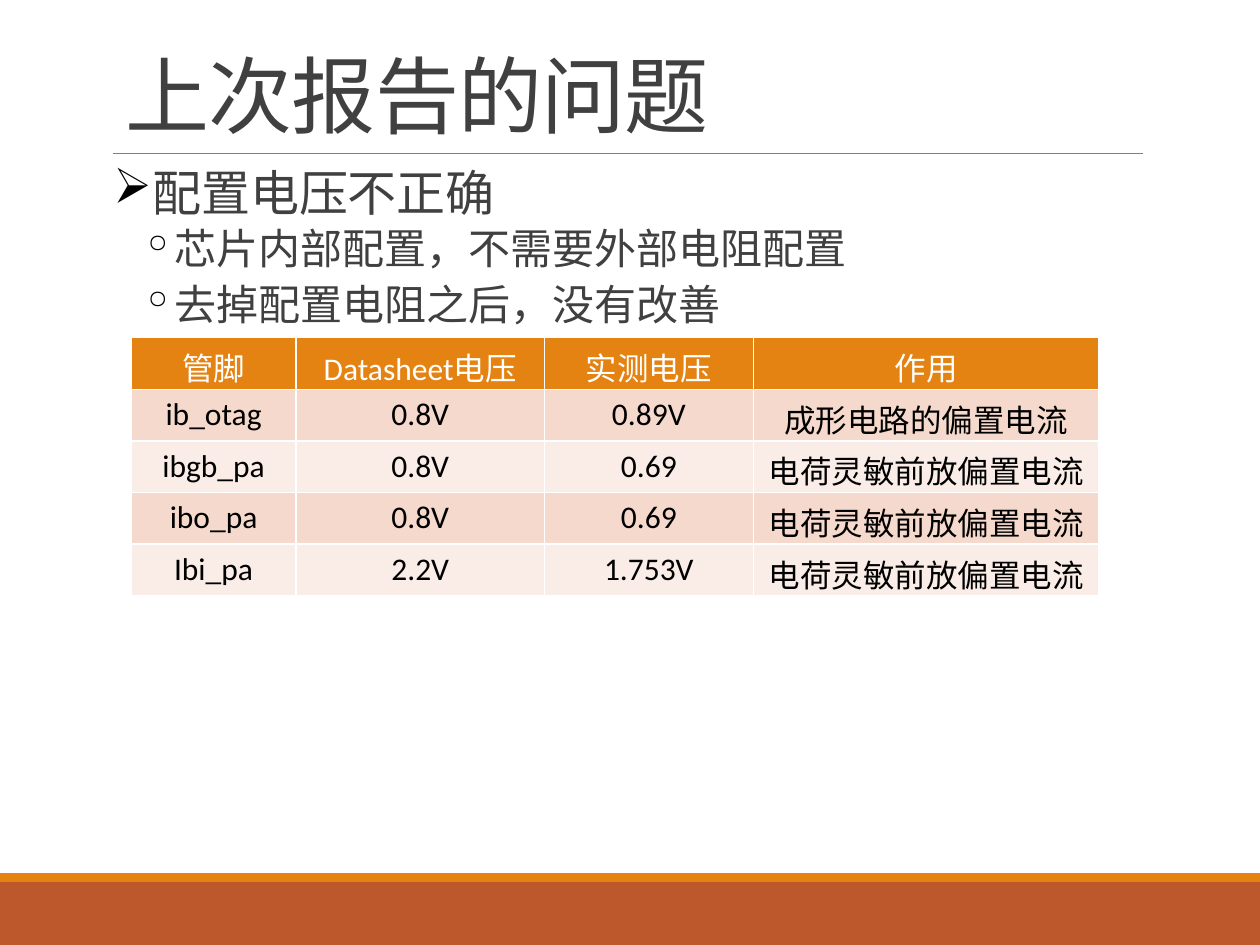
"""Build the slide on configuration voltages."""
import pptx
import pptx.chart.data
import pptx.dml.color
import pptx.enum.shapes
import pptx.enum.text
import pptx.oxml
import pptx.oxml.ns
import pptx.util

Inches = pptx.util.Inches
Pt = pptx.util.Pt

COLORS = {
    "white": "FFFFFF",
    "black": "000000",
    "text": "404040",
    "rule": "808080",
    "orange": "E48312",
    "rust": "BD582C",
    "dark": "F5D9CC",
    "light": "FAEDE7",
}
SPACE = pptx.oxml.ns.nsdecls("a")


def color(name):
    return pptx.dml.color.RGBColor.from_string(COLORS[name])


def node(xml):
    return pptx.oxml.parse_xml(xml)


class Deck:
    def __init__(self, slide, font):
        self.slide = slide
        self.font = font

    def style(self, par, size, ink):
        for run in par.runs:
            run.font.name = self.font
            run.font.size = Pt(size)
            run.font.color.rgb = color(ink)

    def band(self, top, height, fill):
        kind = pptx.enum.shapes.MSO_SHAPE.RECTANGLE
        shape = self.slide.shapes.add_shape(
            kind, 0, Inches(top), Inches(10), Inches(height))
        shape.shadow.inherit = False
        shape.fill.solid()
        shape.fill.fore_color.rgb = color(fill)
        shape.line.fill.background()

    def rule(self, left, right, top):
        kind = pptx.enum.shapes.MSO_CONNECTOR.STRAIGHT
        line = self.slide.shapes.add_connector(
            kind, Inches(left), Inches(top), Inches(right), Inches(top))
        line.line.color.rgb = color("rule")
        line.line.width = Pt(0.5)
        line._element.spPr.append(node(f"<a:effectLst {SPACE}/>"))

    def box(self, top, height):
        shape = self.slide.shapes.add_textbox(
            Inches(0.9), Inches(top), Inches(8.25), Inches(height))
        shape.text_frame.word_wrap = True
        return shape.text_frame

    def title(self, text):
        frame = self.box(0.31, 0.89)
        frame.vertical_anchor = pptx.enum.text.MSO_ANCHOR.BOTTOM
        frame.text = text
        par = frame.paragraphs[0]
        par.line_spacing = 0.85
        self.style(par, 48, "text")
        par.runs[0].font._element.set("spc", "-50")

    def bullet(self, par, mark, left, hang):
        props = par._p.get_or_add_pPr()
        props.set("marL", str(Inches(left)))
        props.set("indent", str(-Inches(hang)))
        props.append(node(
            f'<a:buClr {SPACE}><a:srgbClr val="{COLORS["black"]}"/></a:buClr>'))
        props.append(node(f'<a:buChar {SPACE} char="{mark}"/>'))

    def body(self, head, points):
        frame = self.box(1.29, 5.13)
        frame.margin_left = frame.margin_right = 0
        frame.text = "\n".join([head, *points])
        for num, par in enumerate(frame.paragraphs):
            par.line_spacing = 0.9
            if num == 0:
                par.space_after = Pt(2)
                self.bullet(par, "➢", 0.1, 0.1)
                self.style(par, 28, "text")
            else:
                par.level = 1
                par.space_before, par.space_after = Pt(2), Pt(4)
                self.bullet(par, "◦", 0.42, 0.2)
                self.style(par, 24, "text")

    def cell(self, cell, text, fill, ink):
        cell.text = text
        cell.fill.solid()
        cell.fill.fore_color.rgb = color(fill)
        par = cell.text_frame.paragraphs[0]
        par.alignment = pptx.enum.text.PP_ALIGN.CENTER
        self.style(par, 18, ink)
        props = cell._tc.get_or_add_tcPr()
        for num, side in enumerate("LRTB"):
            props.insert(num, node(
                f'<a:ln{side} {SPACE} w="{Pt(1)}"><a:solidFill>'
                f'<a:srgbClr val="{COLORS["white"]}"/>'
                f'</a:solidFill></a:ln{side}>'))

    def table(self, rows, widths):
        high = 0.41
        grid = self.slide.shapes.add_table(
            len(rows), len(widths), Inches(1.04), Inches(2.68),
            Inches(sum(widths)), Inches(high * len(rows))).table
        for col, width in zip(grid.columns, widths):
            col.width = Inches(width)
        for num, row in enumerate(rows):
            grid.rows[num].height = Inches(high)
            fill = ("light", "dark")[num % 2] if num else "orange"
            ink = "black" if num else "white"
            for col, text in enumerate(row):
                self.cell(grid.cell(num, col), text, fill, ink)


def main():
    show = pptx.Presentation()
    show.slide_width, show.slide_height = Inches(10), Inches(7.5)
    deck = Deck(show.slides.add_slide(show.slide_layouts[6]), "Calibri")
    deck.band(7, 0.5, "rust")
    deck.band(6.93, 0.07, "orange")
    deck.rule(0.9, 9.07, 1.22)
    deck.title("上次报告的问题")
    deck.body("配置电压不正确", [
        "芯片内部配置，不需要外部电阻配置",
        "去掉配置电阻之后，没有改善",
    ])
    deck.table([
        ("管脚", "Datasheet电压", "实测电压", "作用"),
        ("ib_otag", "0.8V", "0.89V", "成形电路的偏置电流"),
        ("ibgb_pa", "0.8V", "0.69", "电荷灵敏前放偏置电流"),
        ("ibo_pa", "0.8V", "0.69", "电荷灵敏前放偏置电流"),
        ("Ibi_pa", "2.2V", "1.753V", "电荷灵敏前放偏置电流"),
    ], [1.31, 1.97, 1.66, 2.74])
    show.save("out.pptx")


if __name__ == "__main__":
    main()
